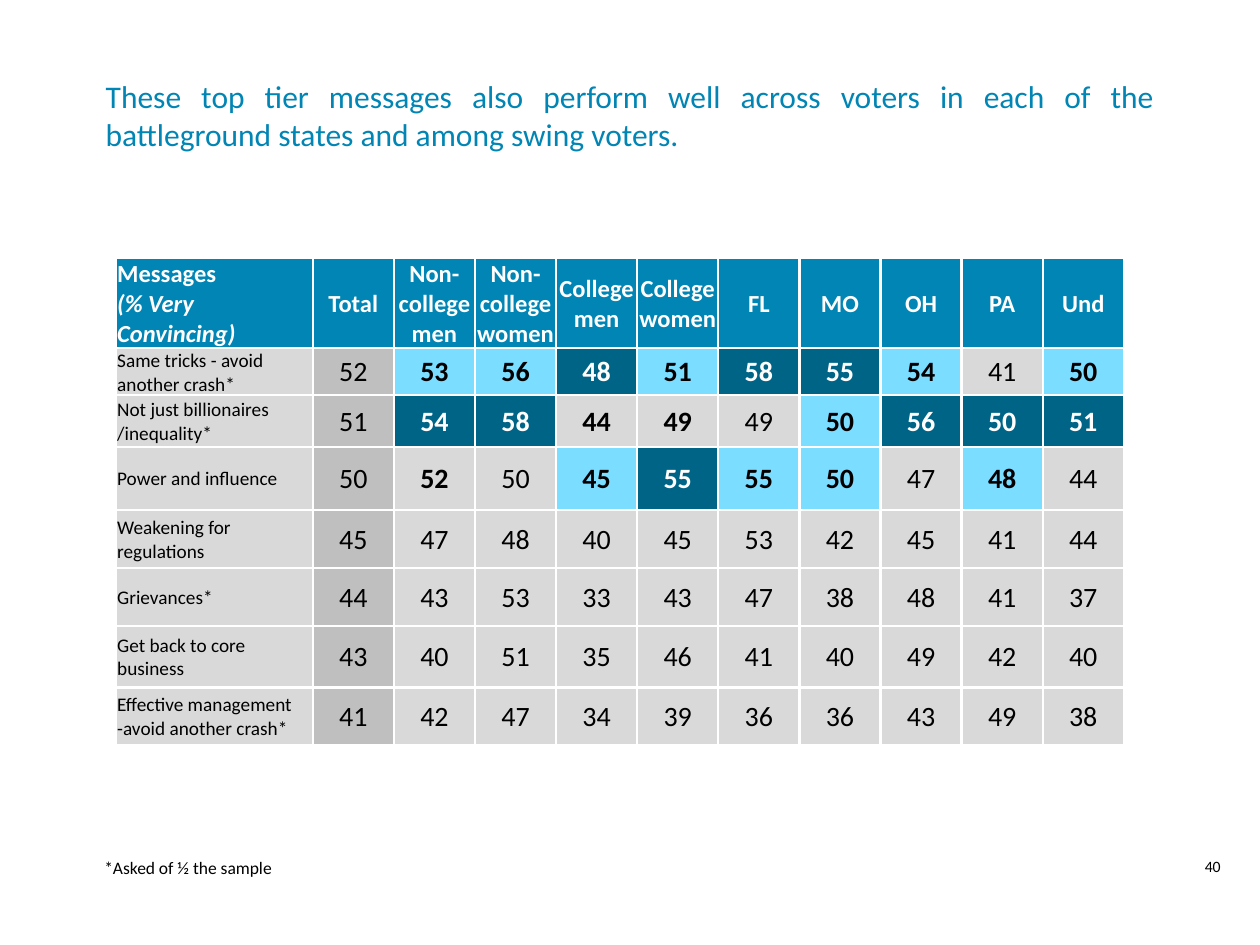
from lxml.etree import SubElement as add_element
from pptx import Presentation
from pptx.dml.color import RGBColor
from pptx.enum.text import MSO_ANCHOR as Anchor, MSO_AUTO_SIZE as AutoSize, PP_ALIGN as Align
from pptx.oxml.ns import qn
from pptx.util import Pt

BLACK, WHITE, BLUE = "000000", "FFFFFF", "0085B4"
GRAY, TOTAL_GRAY, LIGHT_BLUE, DARK_BLUE = "D9D9D9", "BFBFBF", "7BDDFF", "006487"

HEADINGS = ["Total", "Non-college men", "Non-college women", "College men",
            "College women", "FL", "MO", "OH", "PA", "Und"]
MESSAGES = [
    ("Same tricks - avoid another crash*", "52t 53l 56l 48d 51l 58d 55d 54l 41 50l"),
    ("Not just billionaires /inequality*", "51t 54d 58d 44b 49b 49 50l 56d 50d 51d"),
    ("Power and influence", "50t 52b 50 45l 55d 55l 50l 47 48l 44"),
    ("Weakening for regulations", "45t 47 48 40 45 53 42 45 41 44"),
    ("Grievances*", "44t 43 53 33 43 47 38 48 41 37"),
    ("Get back to core business", "43t 40 51 35 46 41 40 49 42 40"),
    ("Effective management -avoid another crash*", "41t 42 47 34 39 36 36 43 49 38"),
]
SCORE_STYLES = {
    "": (GRAY, {"color": BLACK, "bold": False}),
    "t": (TOTAL_GRAY, {"color": BLACK, "bold": False}),
    "b": (GRAY, {"color": BLACK, "bold": True}),
    "l": (LIGHT_BLUE, {"color": BLACK, "bold": True}),
    "d": (DARK_BLUE, {"color": WHITE, "bold": True}),
}
HEADING_FONT = {"size": Pt(14), "color": WHITE, "bold": True}
LABEL_FONT = {"size": Pt(11), "color": BLACK, "bold": False}
ROW_HEIGHTS = [38.16, 22.32, 29.52, 36, 33.12, 33.12, 35.28, 33.12]
LABEL_WIDTH, SCORE_WIDTH = 112.5, 46.35


def rgb(color):
    return RGBColor.from_string(color)


def set_values(target, values):
    for name, value in values.items():
        setattr(target, name, value)


def write_paragraph(para, text, font, align=Align.LEFT):
    para.alignment = align
    span = para.add_run()
    span.text = text
    values = {"name": "Calibri", **font}
    span.font.color.rgb = rgb(values.pop("color"))
    set_values(span.font, values)


def add_text(page, place, text, font, align=Align.LEFT, **frame_values):
    box = page.shapes.add_textbox(*map(Pt, place))
    set_values(box.text_frame, {"word_wrap": True, **frame_values})
    write_paragraph(box.text_frame.paragraphs[0], text, font, align)


def add_borders(cell):
    properties = cell._tc.get_or_add_tcPr()
    for side in "LRTB":
        line = add_element(properties, qn(f"a:ln{side}"), w=str(Pt(1.5)))
        fill = add_element(line, qn("a:solidFill"))
        add_element(fill, qn("a:srgbClr"), val=WHITE)


def fill_cell(cell, text, fill, font, align=Align.CENTER):
    set_values(cell, {
        "vertical_anchor": Anchor.MIDDLE, "margin_left": Pt(0.72),
        "margin_right": Pt(0.72), "margin_top": Pt(0.72), "margin_bottom": 0,
    })
    add_borders(cell)
    cell.fill.solid()
    cell.fill.fore_color.rgb = rgb(fill)
    write_paragraph(cell.text_frame.paragraphs[0], text, font, align)


def add_message_table(page):
    place = map(Pt, (66.24, 147.6, 576, 278.64))
    frame = page.shapes.add_table(len(MESSAGES) + 1, len(HEADINGS) + 1, *place)
    table = frame.table
    table.horz_banding = False
    for index, column in enumerate(table.columns):
        column.width = Pt(SCORE_WIDTH if index else LABEL_WIDTH)
    for row, height in zip(table.rows, ROW_HEIGHTS):
        row.height = Pt(height)

    corner = table.cell(0, 0)
    fill_cell(corner, "Messages", BLUE, HEADING_FONT, Align.LEFT)
    write_paragraph(corner.text_frame.add_paragraph(), "(% Very Convincing)",
                    {**HEADING_FONT, "italic": True})
    for column, heading in enumerate(HEADINGS, 1):
        fill_cell(table.cell(0, column), heading, BLUE, HEADING_FONT)
    for row, (message, scores) in enumerate(MESSAGES, 1):
        fill_cell(table.cell(row, 0), message, GRAY, LABEL_FONT, Align.LEFT)
        for column, score in enumerate(scores.split(), 1):
            fill, font = SCORE_STYLES[score[2:]]
            fill_cell(table.cell(row, column), score[:2], fill, {"size": Pt(16), **font})


def main():
    deck = Presentation()
    deck.slide_width, deck.slide_height = Pt(720), Pt(540)
    page = deck.slides.add_slide(deck.slide_layouts[6])
    add_text(page, (53.28, 23.76, 613.44, 83.52),
             "These top tier messages also perform well across voters in each of the "
             "battleground states and among swing voters.",
             {"size": Pt(18), "color": BLUE}, Align.JUSTIFY, vertical_anchor=Anchor.MIDDLE)
    add_message_table(page)
    add_text(page, (666, 486, 54, 23.76), "40", {"size": Pt(9), "color": BLACK}, Align.CENTER)
    add_text(page, (52.56, 486, 360, 19.44), "*Asked of ½ the sample",
             {"size": Pt(10), "color": BLACK}, auto_size=AutoSize.SHAPE_TO_FIT_TEXT)
    deck.save("out.pptx")


if __name__ == "__main__":
    main()
